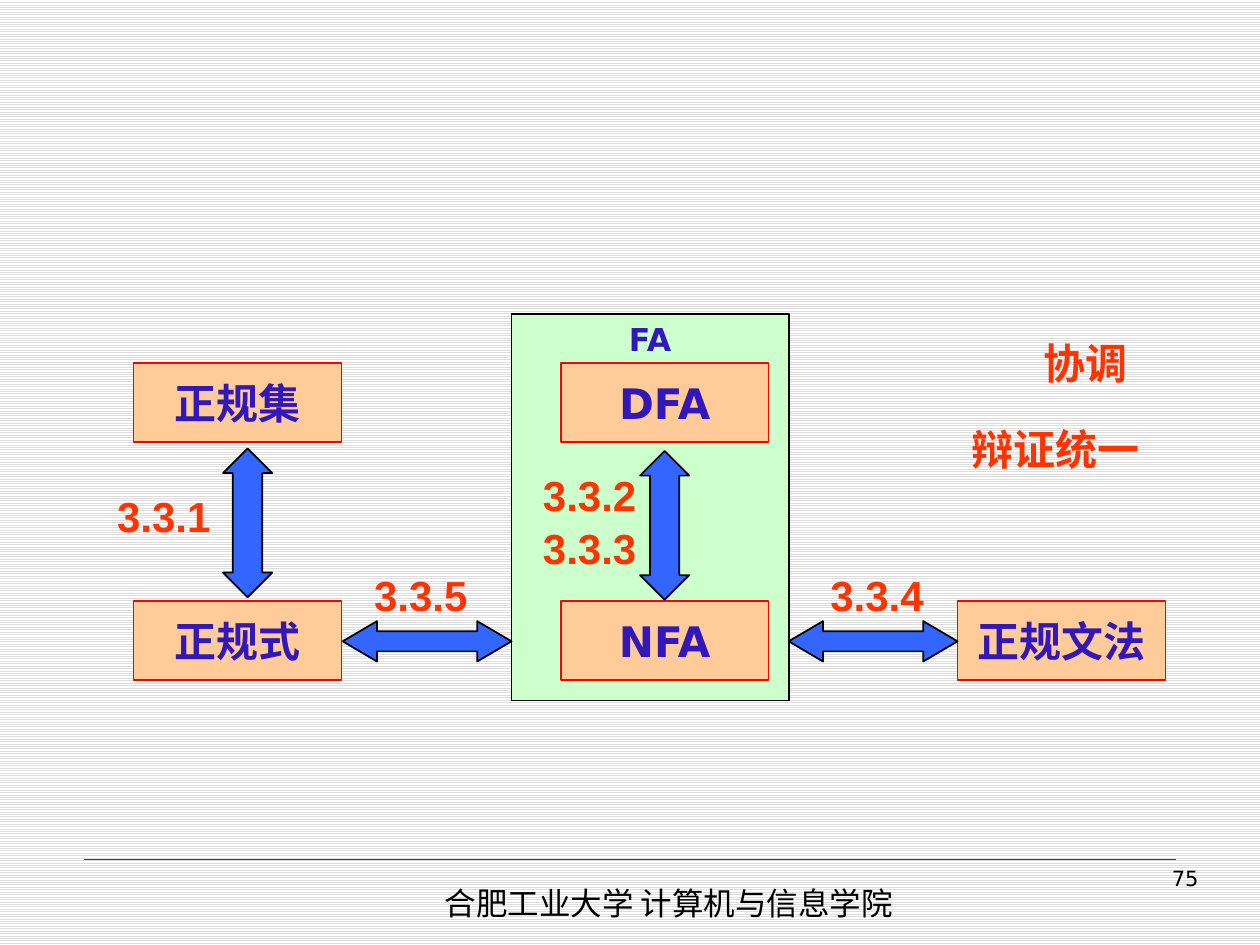
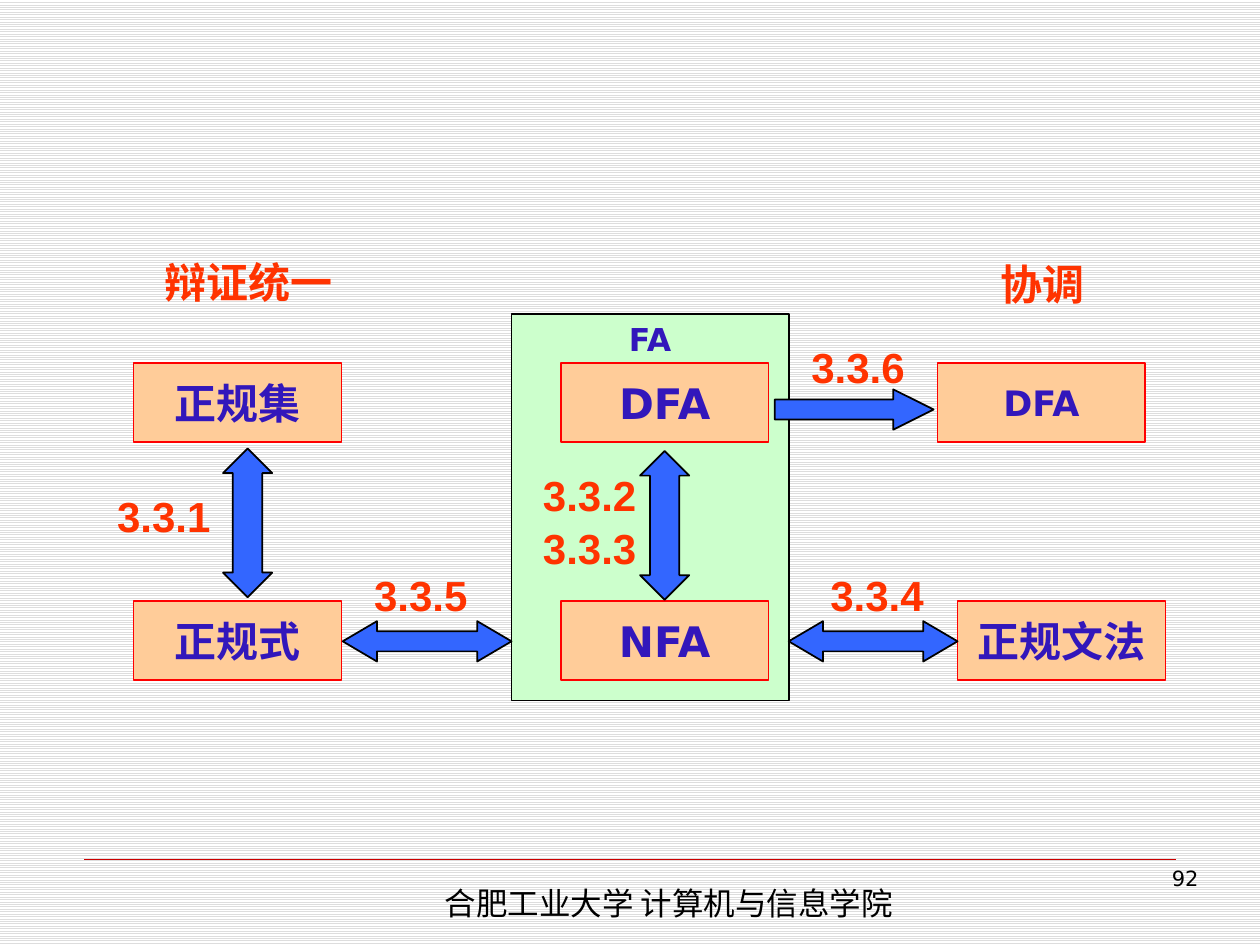
from dataclasses import dataclass

from lxml import etree
from pptx import Presentation
from pptx.dml.color import RGBColor
from pptx.enum.dml import MSO_PATTERN
from pptx.enum.shapes import MSO_CONNECTOR, MSO_SHAPE
from pptx.enum.text import MSO_ANCHOR as Anchor, PP_ALIGN as Align
from pptx.oxml.ns import qn
from pptx.util import Inches, Pt

COLORS = {
    "paper": "FFFFFF", "stripe": "DDDDDD", "rule": "CC0000", "black": "000000",
    "group": "CCFFCC", "node": "FFCC99", "node_edge": "FF0000",
    "node_text": "3217BB", "arrow": "3366FF", "label": "FF3300",
}
SANS, CJK, LABEL_FONT = "DejaVu Sans", "Noto Sans CJK SC", "Arial"
FOOTER = "合肥工业大学 计算机与信息学院"

# Diagram grid, in inches
LEFT_COL, MIDDLE_COL, RIGHT_COL = 1.06, 4.45, 7.6
TOP_ROW, BOTTOM_ROW = 2.88, 4.77
NODE_W, NODE_H = 1.65, 0.63
GROUP_X, GROUP_W = 4.06, 2.2
LINK_Y, LINK_W, LINK_H = 4.93, 1.34, 0.32
LABEL_W, LABEL_H = 0.94, 0.5


@dataclass(frozen=True)
class TextStyle:
    size: float
    font: str
    color: str
    bold: bool = True
    align: Align = Align.CENTER
    anchor: Anchor = Anchor.MIDDLE
    wrap: bool = False
    spacing: float = 1.0


@dataclass(frozen=True)
class Node:
    text: str
    x: float
    y: float
    size: float = 24


@dataclass(frozen=True)
class Arrow:
    kind: MSO_SHAPE
    x: float
    y: float
    width: float
    height: float
    head: float


@dataclass(frozen=True)
class Label:
    lines: tuple[str, ...]
    x: float
    y: float
    width: float = LABEL_W
    height: float = LABEL_H


@dataclass(frozen=True)
class Diagram:
    number: str
    nodes: tuple[Node, ...]
    arrows: tuple[Arrow, ...]
    labels: tuple[Label, ...]


FOOTER_STYLE = TextStyle(18, CJK, "black", False, Align.LEFT, Anchor.TOP, True)
NUMBER_STYLE = TextStyle(12, SANS, "black", False, Align.RIGHT, Anchor.TOP, True)
GROUP_STYLE = TextStyle(18, SANS, "node_text", anchor=Anchor.TOP)
LABEL_STYLE = TextStyle(24, LABEL_FONT, "label", spacing=1.05)


def rgb(name: str) -> RGBColor:
    return RGBColor.from_string(COLORS[name])


def write(shape, lines: tuple[str, ...], style: TextStyle) -> None:
    frame = shape.text_frame
    frame.word_wrap = style.wrap
    frame.vertical_anchor = style.anchor
    for index, line in enumerate(lines):
        para = frame.add_paragraph() if index else frame.paragraphs[0]
        para.alignment = style.align
        para.line_spacing = style.spacing
        span = para.add_run()
        span.text = line
        font = span.font
        font.size, font.bold, font.name = Pt(style.size), style.bold, style.font
        font.color.rgb = rgb(style.color)
        east_asian = etree.SubElement(span._r.get_or_add_rPr(), qn("a:ea"))
        east_asian.set("typeface", CJK)


def add_text(page, lines: tuple[str, ...], x: float, y: float,
             width: float, height: float, style: TextStyle) -> None:
    box = page.shapes.add_textbox(Inches(x), Inches(y), Inches(width), Inches(height))
    write(box, lines, style)


def add_shape(page, kind: MSO_SHAPE, x: float, y: float, width: float,
              height: float, fill: str, edge: str = "black"):
    shape = page.shapes.add_shape(
        kind, Inches(x), Inches(y), Inches(width), Inches(height))
    shape.shadow.inherit = False
    shape.fill.solid()
    shape.fill.fore_color.rgb = rgb(fill)
    shape.line.color.rgb = rgb(edge)
    shape.line.width = Pt(1)
    return shape


def add_node(page, node: Node) -> None:
    shape = add_shape(page, MSO_SHAPE.RECTANGLE, node.x, node.y,
                      NODE_W, NODE_H, "node", "node_edge")
    write(shape, (node.text,), TextStyle(node.size, SANS, "node_text"))


def add_arrow(page, arrow: Arrow) -> None:
    shape = add_shape(page, arrow.kind, arrow.x, arrow.y,
                      arrow.width, arrow.height, "arrow")
    shape.adjustments[0] = 0.5
    shape.adjustments[1] = arrow.head


def add_footer(page, number: str) -> None:
    rule = page.shapes.add_connector(
        MSO_CONNECTOR.STRAIGHT, Inches(0.67), Inches(6.82), Inches(9.33), Inches(6.82))
    rule.line.color.rgb = rgb("rule")
    rule.line.width = Pt(0.25)
    etree.SubElement(rule._element.spPr, qn("a:effectLst"))
    add_text(page, (FOOTER,), 3.43, 6.97, 4.72, 0.4, FOOTER_STYLE)
    add_text(page, (number,), 7.44, 6.82, 2.17, 0.52, NUMBER_STYLE)


def horizontal(x: float) -> Arrow:
    return Arrow(MSO_SHAPE.LEFT_RIGHT_ARROW, x, LINK_Y, LINK_W, LINK_H, 0.85)


def vertical(x: float, y: float) -> Arrow:
    return Arrow(MSO_SHAPE.UP_DOWN_ARROW, x, y, 0.39, 1.18, 0.6)


def harmony(x: float, y: float) -> Label:
    return Label(("协调",), x, y, 0.87)


def unity(x: float, y: float) -> Label:
    return Label(("辩证统一",), x, y, 1.54)


# Parts common to both diagrams
NODES = (
    Node("正规集", LEFT_COL, TOP_ROW),
    Node("正规式", LEFT_COL, BOTTOM_ROW),
    Node("DFA", MIDDLE_COL, TOP_ROW),
    Node("NFA", MIDDLE_COL, BOTTOM_ROW),
    Node("正规文法", RIGHT_COL, BOTTOM_ROW),
)
ARROWS = (
    horizontal(GROUP_X - LINK_W),
    horizontal(GROUP_X + GROUP_W),
    vertical(1.77, 3.56),
    vertical(5.08, 3.58),
)
LABELS = (
    Label(("3.3.1",), 0.83, 3.83),
    Label(("3.3.2", "3.3.3"), 4.21, 3.67, height=0.91),
    Label(("3.3.4",), 6.49, 4.46),
    Label(("3.3.5",), 2.87, 4.46),
)

DIAGRAMS = (
    Diagram("75", NODES, ARROWS,
            LABELS + (harmony(8.18, 2.62), unity(7.61, 3.3))),
    Diagram("92",
            NODES + (Node("DFA", 7.44, TOP_ROW, 20),),
            ARROWS + (Arrow(MSO_SHAPE.RIGHT_ARROW, 6.15, 3.09, 1.26, LINK_H, 1.0),),
            LABELS + (Label(("3.3.6",), 6.34, 2.65),
                      harmony(7.84, 1.99), unity(1.2, 1.98))),
)


def add_diagram(deck, diagram: Diagram) -> None:
    page = deck.slides.add_slide(deck.slide_layouts[6])
    add_footer(page, diagram.number)
    group = add_shape(page, MSO_SHAPE.RECTANGLE, GROUP_X, 2.49, GROUP_W, 3.07, "group")
    write(group, ("FA",), GROUP_STYLE)
    for node in diagram.nodes:
        add_node(page, node)
    for arrow in diagram.arrows:
        add_arrow(page, arrow)
    for label in diagram.labels:
        add_text(page, label.lines, label.x, label.y,
                 label.width, label.height, LABEL_STYLE)


def main() -> None:
    deck = Presentation()
    deck.slide_width, deck.slide_height = Inches(10), Inches(7.5)

    # Striped background on the master
    fill = deck.slide_master.background.fill
    fill.patterned()
    fill.pattern = MSO_PATTERN.LIGHT_HORIZONTAL
    fill.fore_color.rgb = rgb("stripe")
    fill.back_color.rgb = rgb("paper")

    for diagram in DIAGRAMS:
        add_diagram(deck, diagram)
    deck.save("out.pptx")


if __name__ == "__main__":
    main()
